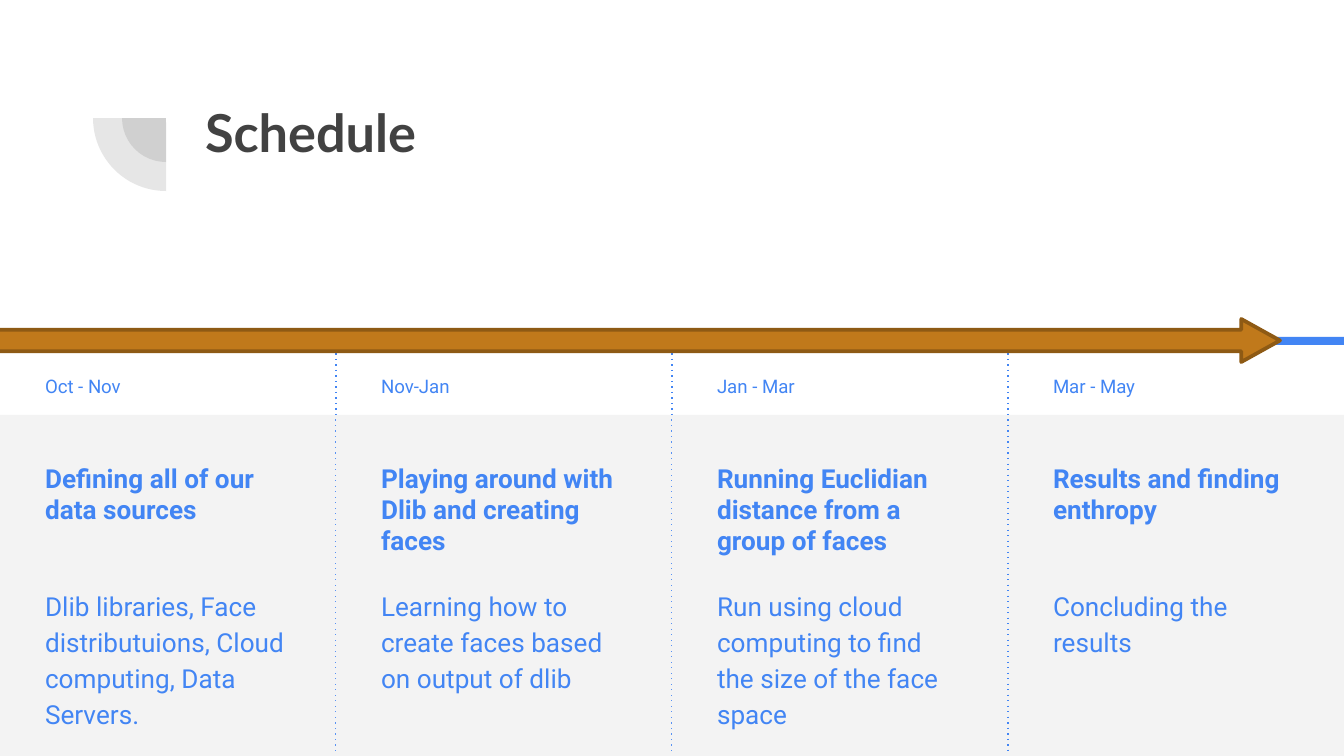
from pptx import Presentation
from pptx.dml.color import RGBColor
from pptx.enum.shapes import MSO_CONNECTOR, MSO_SHAPE
from pptx.enum.text import MSO_ANCHOR, MSO_AUTO_SIZE, PP_ALIGN
from pptx.oxml.xmlchemy import OxmlElement
from pptx.util import Pt

TITLE = "Schedule"
STEPS = [
    ("Oct - Nov", "Defining all of our data sources",
     "Dlib libraries, Face distributuions, Cloud computing, Data Servers."),
    ("Nov-Jan", "Playing around with Dlib and creating faces",
     "Learning how to create faces based on output of dlib"),
    ("Jan - Mar", "Running Euclidian distance from a group of faces",
     "Run using cloud computing to find the size of the face space"),
    ("Mar - May", "Results and finding enthropy", "Concluding the results"),
]
ORDER = (3, 0, 1, 2)

BLUE = RGBColor(0x42, 0x85, 0xF4)
DARK = RGBColor(0x42, 0x42, 0x42)
PALE = RGBColor(0xF3, 0xF3, 0xF3)
GOLD = RGBColor(0xC0, 0x79, 0x1B)
BROWN = RGBColor(0x8E, 0x5A, 0x14)

SCALE = 914400 / 134.4
WIDE, HIGH = 1344, 756
COL = WIDE // len(STEPS)
PAD, INSET = 32, 13
BAR, PANEL = 337, 415
HUB = (166, 118)
RADII = (44, 73)

DATE = {"size": Pt(10), "name": "Roboto", "bold": False}
HEAD = {"size": Pt(14), "name": "Roboto", "bold": True}
BODY = {"size": Pt(14), "name": "Roboto", "bold": False}
MAIN = {"size": Pt(28), "name": "Lato", "bold": True}
LOOSE = {"line_spacing": 1.15, "space_after": Pt(16)}
TIGHT = {"line_spacing": 1.0, "space_after": Pt(0)}
ROWS = [
    (359, 128, 38, DATE, LOOSE),
    (449, 273, 117, HEAD, TIGHT),
    (573, 273, 146, BODY, LOOSE),
]
FRAME = {"word_wrap": True, "auto_size": MSO_AUTO_SIZE.NONE,
         "vertical_anchor": MSO_ANCHOR.TOP}


def px(*nums):
    return [round(n * SCALE) for n in nums]


def apply(item, style):
    for key, val in style.items():
        setattr(item, key, val)


def write(box, text, font, para, color):
    frame = box.text_frame
    apply(frame, FRAME)
    for side in ("left", "top", "right", "bottom"):
        setattr(frame, "margin_" + side, px(INSET)[0])
    line = frame.paragraphs[0]
    apply(line, {"alignment": PP_ALIGN.LEFT, "space_before": Pt(0), **para})
    run = line.add_run()
    run.text = text
    apply(run.font, font)
    run.font.color.rgb = color


def draw(kind, area, color):
    shape = slide.shapes.add_shape(kind, *px(*area))
    shape.shadow.inherit = False
    shape.fill.solid()
    shape.fill.fore_color.rgb = color
    shape.line.fill.background()
    return shape


def wedge(rad):
    pie = draw(MSO_SHAPE.PIE, (HUB[0] - rad, HUB[1] - rad, 2 * rad, 2 * rad), DARK)
    pie.adjustments[0], pie.adjustments[1] = 107.93, 162
    pie.rotation = 270
    alpha = OxmlElement("a:alpha")
    alpha.set("val", "13000")
    pie.fill._xPr.find(".//{*}srgbClr").append(alpha)


def divide(x):
    rule = slide.shapes.add_connector(MSO_CONNECTOR.STRAIGHT, *px(x, BAR, x, HIGH - 2))
    rule.line.color.rgb = BLUE
    rule.line.width = Pt(0.75)
    dash = OxmlElement("a:prstDash")
    dash.set("val", "dot")
    rule.line._get_or_add_ln().append(dash)
    rule._element.spPr.append(OxmlElement("a:effectLst"))


def column(num):
    left = num * COL
    draw(MSO_SHAPE.RECTANGLE, (left, PANEL, COL, HIGH - PANEL), PALE)
    draw(MSO_SHAPE.RECTANGLE, (left, BAR, COL, 8), BLUE)
    for text, (top, wide, high, font, para) in zip(STEPS[num], ROWS):
        box = slide.shapes.add_textbox(*px(left + PAD, top, wide, high))
        write(box, text, font, para, BLUE)
    if num < len(STEPS) - 1:
        divide(left + COL)


deck = Presentation()
deck.slide_width, deck.slide_height = px(WIDE, HIGH)
slide = deck.slides.add_slide(deck.slide_layouts[5])

for rad in RADII:
    wedge(rad)

title = slide.shapes.title
apply(title, dict(zip(("left", "top", "width", "height"), px(192, 87, 1034, 146))))
write(title, TITLE, MAIN, TIGHT, DARK)

for num in ORDER:
    column(num)

arrow = draw(MSO_SHAPE.RIGHT_ARROW, (-32, 319, 1312, 43), GOLD)
arrow.adjustments[0], arrow.adjustments[1] = 0.5, 0.9
arrow.line.color.rgb = BROWN
arrow.line.width = Pt(2)

deck.save("out.pptx")
